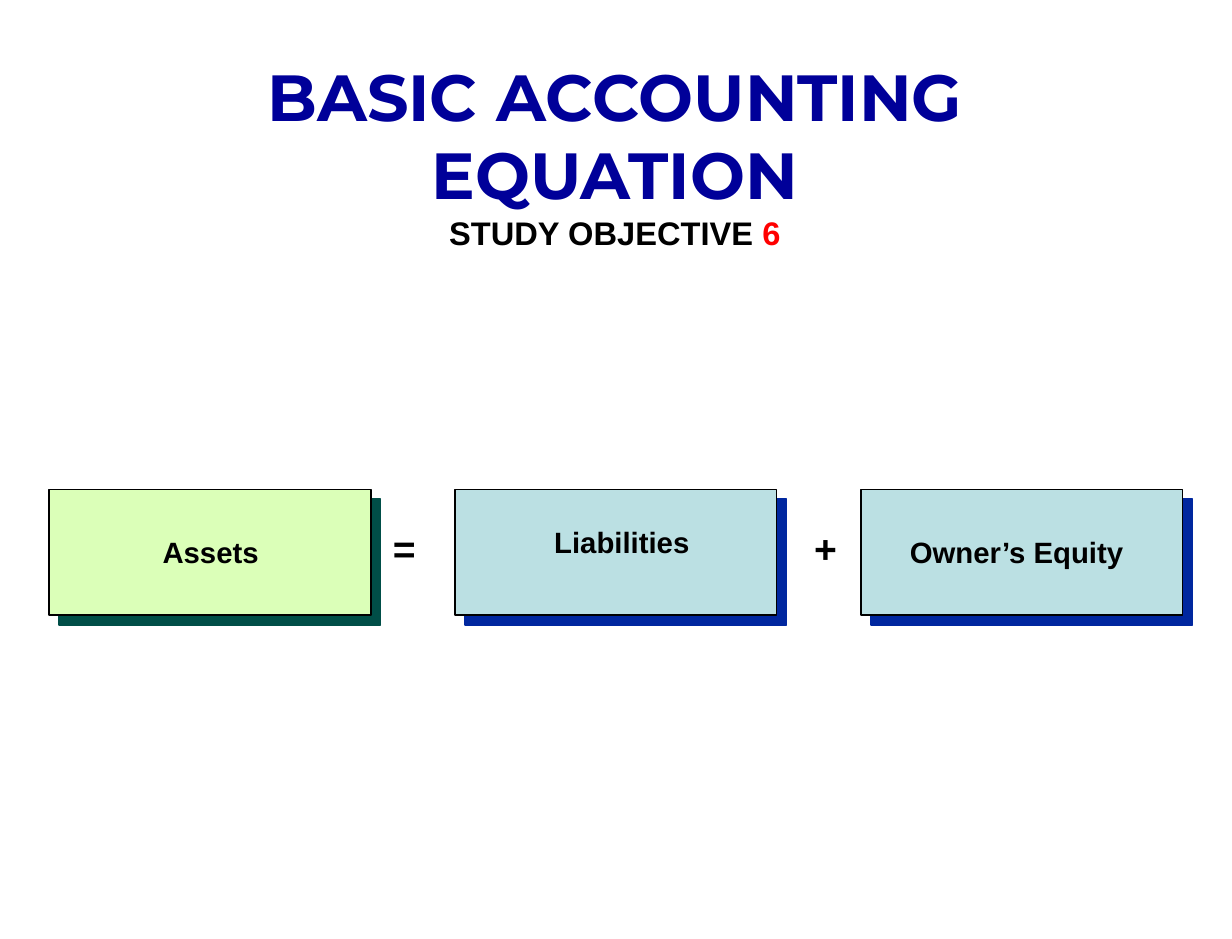
"""Build the basic accounting equation slide."""
from lxml import etree
from pptx import Presentation
from pptx.dml.color import RGBColor
from pptx.enum.shapes import MSO_SHAPE
from pptx.enum.text import MSO_ANCHOR, MSO_AUTO_SIZE, PP_ALIGN
from pptx.oxml.ns import qn
from pptx.util import Inches, Pt

RECT = MSO_SHAPE.RECTANGLE
TOP = MSO_ANCHOR.TOP
FIXED = MSO_AUTO_SIZE.NONE
LEFT, CENTER = PP_ALIGN.LEFT, PP_ALIGN.CENTER
BLACK = RGBColor(0, 0, 0)
RED = RGBColor(0xFF, 0, 0)
NAVY = RGBColor(0, 0, 0x99)
BLUE = RGBColor(0, 0x27, 0x9F)
TEAL = RGBColor(0, 0x4E, 0x47)
AQUA = RGBColor(0xBB, 0xE0, 0xE3)
LIME = RGBColor(0xDB, 0xFF, 0xB8)


def style(para, size, color, name="Arial", align=CENTER):
    para.alignment = align
    font = para.font
    font.name, font.size, font.bold = name, Pt(size), True
    font.color.rgb = color


def cast(shape, color):
    shape.shadow.inherit = False
    effects = shape._element.spPr.find(qn("a:effectLst"))
    outer = etree.SubElement(effects, qn("a:outerShdw"), blurRad="0",
                             dist=str(Pt(8.5)), dir="2700000",
                             algn="ctr", rotWithShape="0")
    etree.SubElement(outer, qn("a:srgbClr"), val=str(color))


deck = Presentation()
deck.slide_width, deck.slide_height = Inches(10.5), Inches(8)
slide = deck.slides.add_slide(deck.slide_layouts[5])

title = slide.shapes.title
title.left, title.top = Inches(1.14), Inches(0.43)
title.width, title.height = Inches(8.2), Inches(3.39)
frame = title.text_frame
frame.word_wrap, frame.auto_size, frame.vertical_anchor = True, FIXED, TOP
head = frame.paragraphs[0]
head.text = "BASIC ACCOUNTING EQUATION"
style(head, 40, NAVY, "Montserrat")
goal = frame.add_paragraph()
goal.add_run().text = "STUDY OBJECTIVE "
style(goal, 20, BLACK)
digit = goal.add_run()
digit.text = "6"
digit.font.color.rgb = RED

for left, fill, shade in [(0.42, LIME, TEAL), (3.88, AQUA, BLUE), (7.34, AQUA, BLUE)]:
    box = slide.shapes.add_shape(RECT, Inches(left), Inches(4.17), Inches(2.74), Inches(1.07))
    box.fill.solid()
    box.fill.fore_color.rgb = fill
    box.line.color.rgb = BLACK
    box.line.width = Pt(1)
    cast(box, shade)

for text, left, top, width, height, size, align in [
    ("Assets", 1.17, 4.5, 1.25, 0.4, 18, CENTER),
    ("Liabilities", 4.52, 4.42, 1.56, 0.4, 18, CENTER),
    ("Owner’s Equity", 7.5, 4.5, 2.33, 0.4, 18, CENTER),
    ("=", 3.25, 4.42, 0.58, 0.5, 24, LEFT),
    ("+", 6.84, 4.42, 0.49, 0.5, 24, LEFT),
]:
    label = slide.shapes.add_textbox(Inches(left), Inches(top), Inches(width), Inches(height))
    label.text_frame.word_wrap = True
    para = label.text_frame.paragraphs[0]
    para.text = text
    style(para, size, BLACK, align=align)

deck.save("out.pptx")
